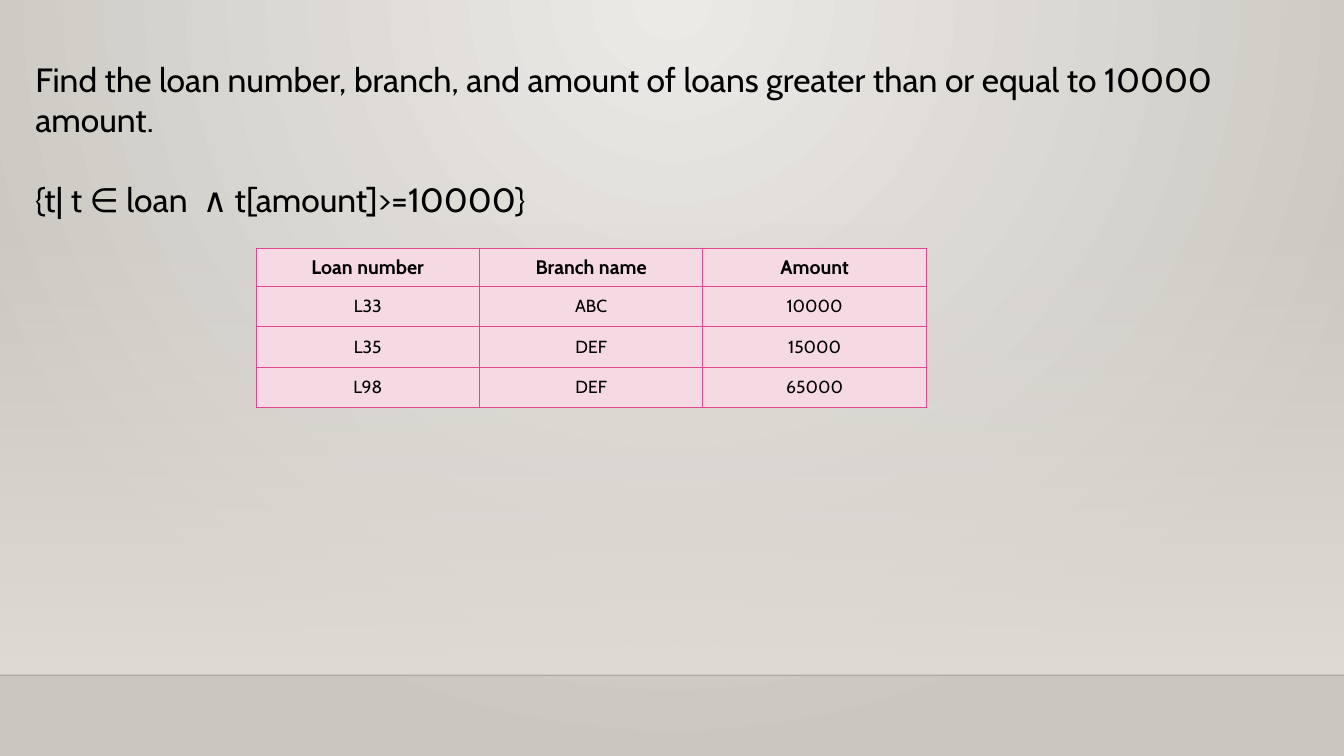
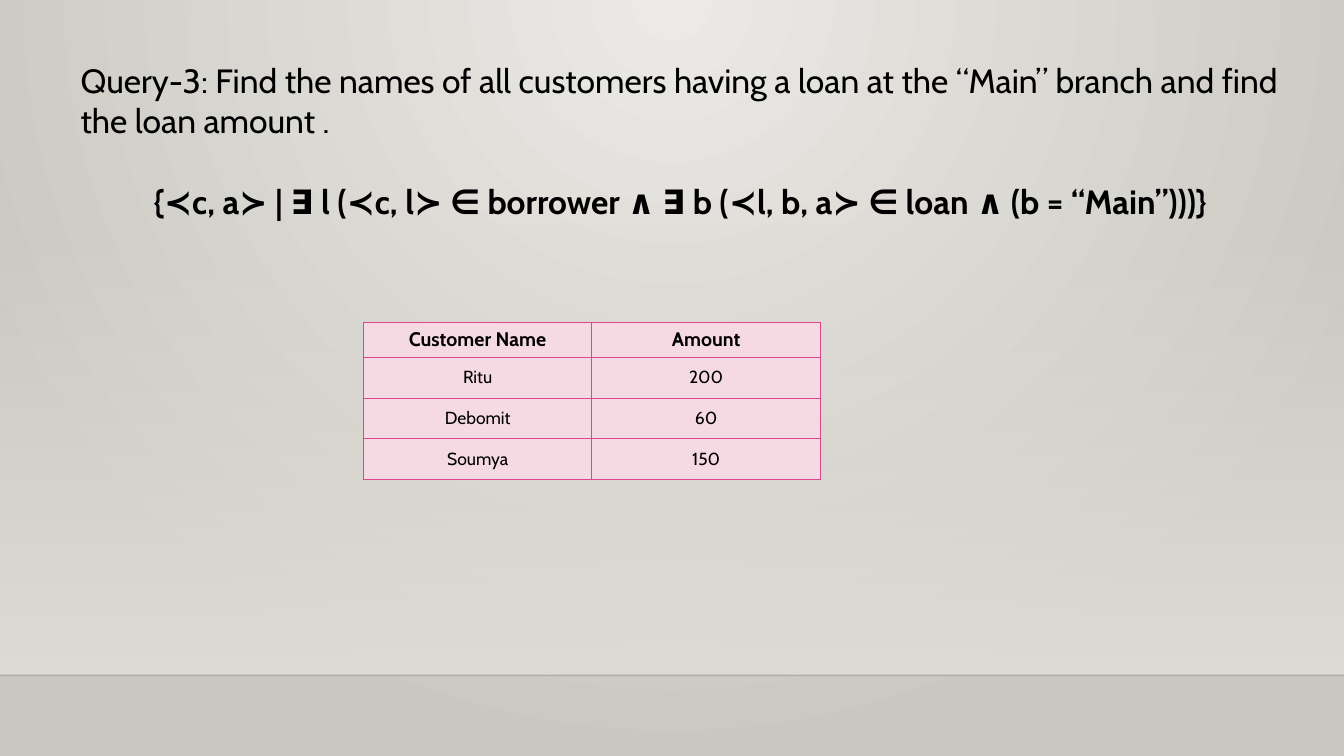
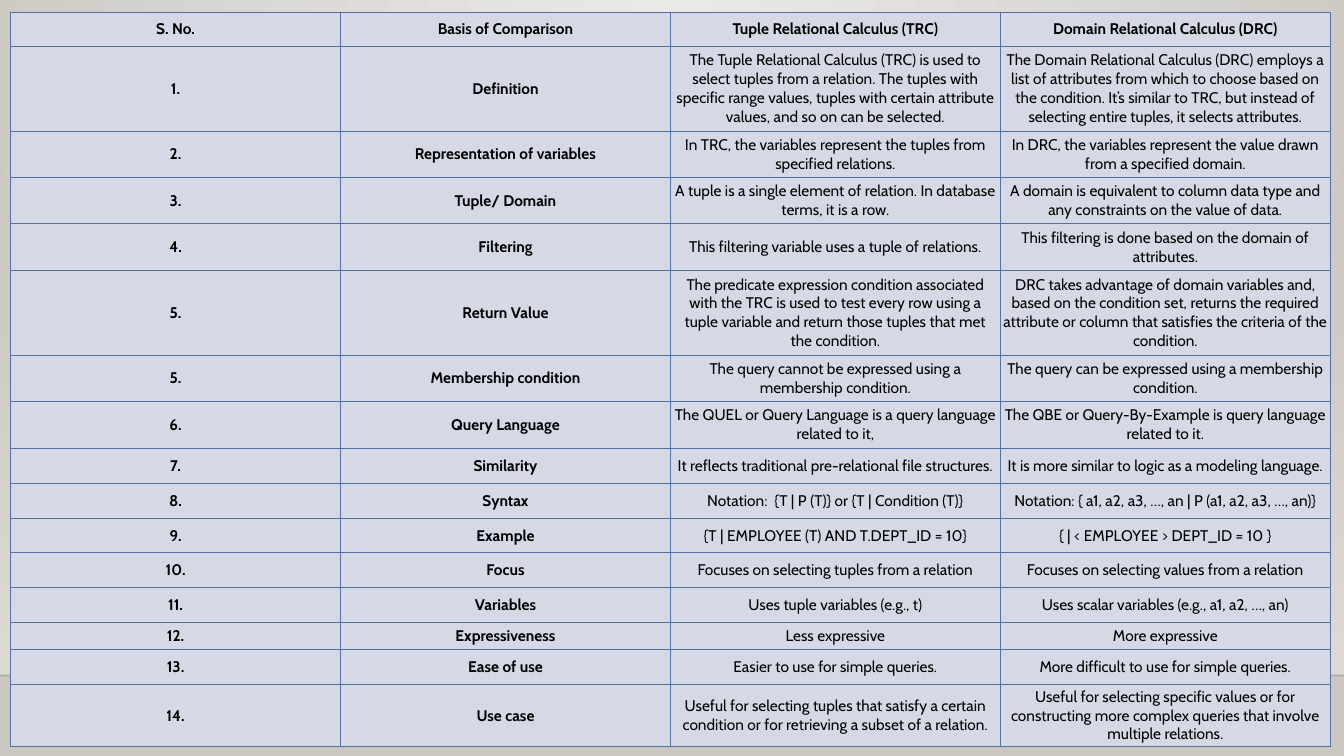
from dataclasses import dataclass

from lxml.etree import SubElement
from pptx import Presentation
from pptx.dml.color import RGBColor as RGB
from pptx.enum.shapes import MSO_CONNECTOR as CONN, MSO_SHAPE as SHAPE
from pptx.enum.text import MSO_ANCHOR as ANCHOR, MSO_AUTO_SIZE as FIT, PP_ALIGN as ALIGN
from pptx.oxml.ns import qn
from pptx.util import Pt


@dataclass(frozen=True)
class Theme:
    font: str = "Cabin"
    ink: str = "000000"
    rule: str = "000001"
    back_inner: str = "ECEAE7"
    back_outer: str = "CAC7C1"
    band: str = "DFDBD5"
    pink: tuple = ("F6DAE3", "DE478E")
    blue: tuple = ("D5D9E5", "586EA6")
    query: float = 24
    head: float = 14
    cell: float = 12.5
    compare: float = 11


T = Theme()
W, H = 960, 540
FLOOR = 482.4


def write(tf, text, size, bold=False, align=ALIGN.LEFT):
    p = tf.paragraphs[0]
    p.alignment = align
    r = p.add_run()
    r.text = text
    r.font.name = T.font
    r.font.size = Pt(size)
    r.font.bold = bold
    r.font.color.rgb = RGB.from_string(T.ink)


def add_grid(s, left, top, col, heights, rows, colors, sizes, insets, bold_cols=0):
    fill, edge = colors
    n = len(rows[0])
    frame = s.shapes.add_table(len(rows), n, Pt(left), Pt(top), Pt(col * n), Pt(sum(heights)))
    table = frame.table
    table.horz_banding = False
    for column in table.columns:
        column.width = Pt(col)
    for i, row in enumerate(rows):
        table.rows[i].height = Pt(heights[i])
        part = min(i, 1)
        side, end = insets[part]
        for j, text in enumerate(row):
            cell = table.cell(i, j)
            cell.vertical_anchor = ANCHOR.MIDDLE
            cell.margin_left = cell.margin_right = Pt(side)
            cell.margin_top = cell.margin_bottom = Pt(end)
            tcPr = cell._tc.get_or_add_tcPr()
            for tag in ("a:lnL", "a:lnR", "a:lnT", "a:lnB"):
                ln = SubElement(tcPr, qn(tag), w=str(Pt(0.75)))
                solid = SubElement(ln, qn("a:solidFill"))
                SubElement(solid, qn("a:srgbClr"), val=edge)
            cell.fill.solid()
            cell.fill.fore_color.rgb = RGB.from_string(fill)
            write(cell.text_frame, text, sizes[part], i == 0 or j < bold_cols, ALIGN.CENTER)


prs = Presentation()
prs.slide_width, prs.slide_height = Pt(W), Pt(H)
master = prs.slide_master
title_only, blank = prs.slide_layouts[5], prs.slide_layouts[6]

back = master.background.fill
back.gradient()
for stop, color in zip(back.gradient_stops, (T.back_inner, T.back_outer)):
    stop.color.rgb = RGB.from_string(color)
grad = master.element.find(".//" + qn("a:gradFill"))
grad.remove(grad.find(qn("a:lin")))
circle = SubElement(grad, qn("a:path"), path="circle")
SubElement(circle, qn("a:fillToRect"), l="43000", t="0", r="43000", b="100000")

QUERIES = [
    dict(
        box=(18, 38.2, 923.8),
        question="Find the loan number, branch, and amount of loans greater than or equal to 10000 amount.",
        formula="{t| t ∈ loan  ∧ t[amount]>=10000}",
        bold=False,
        align=ALIGN.LEFT,
        grid=(182.9, 177.4, 159.6),
        heights=[27, 29, 29, 29],
        rows=[
            ("Loan number", "Branch name", "Amount"),
            ("L33", "ABC", "10000"),
            ("L35", "DEF", "15000"),
            ("L98", "DEF", "65000"),
        ],
    ),
    dict(
        box=(50.4, 39, 871.2),
        question="Query-3: Find the names of all customers having a loan at the “Main” branch and find the loan amount .",
        formula="{≺c, a≻ | ∃ l (≺c, l≻ ∈ borrower ∧ ∃ b (≺l, b, a≻ ∈ loan ∧ (b = “Main”)))}",
        bold=True,
        align=ALIGN.CENTER,
        grid=(259.6, 230.2, 163.2),
        heights=[25, 29, 29, 29],
        rows=[
            ("Customer Name", "Amount"),
            ("Ritu", "200"),
            ("Debomit", "60"),
            ("Soumya", "150"),
        ],
    ),
]

for query in QUERIES:
    s = prs.slides.add_slide(title_only)
    left, top, width = query["box"]
    title = s.shapes.title
    title.left, title.top, title.width, title.height = Pt(left), Pt(top), Pt(width), Pt(65)
    formula = s.shapes.add_textbox(Pt(left), Pt(top + 86.4), Pt(width), Pt(36))
    for sp in (title, formula):
        tf = sp.text_frame
        tf.word_wrap = True
        tf.auto_size = FIT.NONE
        tf.vertical_anchor = ANCHOR.TOP
    write(title.text_frame, query["question"], T.query)
    write(formula.text_frame, query["formula"], T.query, query["bold"], query["align"])
    add_grid(s, *query["grid"], query["heights"], query["rows"], T.pink,
             (T.head, T.cell), ((4.4, 4), (5, 6.8)))

COMPARISON = [
    ("S. No.", "Basis of Comparison", "Tuple Relational Calculus (TRC)", "Domain Relational Calculus (DRC)"),
    ("1.", "Definition",
     "The Tuple Relational Calculus (TRC) is used to select tuples from a relation. The tuples with specific range values, tuples with certain attribute values, and so on can be selected.",
     "The Domain Relational Calculus (DRC) employs a list of attributes from which to choose based on the condition. It’s similar to TRC, but instead of selecting entire tuples, it selects attributes."),
    ("2.", "Representation of variables",
     "In TRC, the variables represent the tuples from specified relations.",
     "In DRC, the variables represent the value drawn from a specified domain."),
    ("3.", "Tuple/ Domain",
     "A tuple is a single element of relation. In database terms, it is a row.",
     "A domain is equivalent to column data type and any constraints on the value of data."),
    ("4.", "Filtering",
     "This filtering variable uses a tuple of relations.",
     "This filtering is done based on the domain of attributes."),
    ("5.", "Return Value",
     "The predicate expression condition associated with the TRC is used to test every row using a tuple variable and return those tuples that met the condition.",
     "DRC takes advantage of domain variables and, based on the condition set, returns the required attribute or column that satisfies the criteria of the condition."),
    ("5.", "Membership condition",
     "The query cannot be expressed using a membership condition.",
     "The query can be expressed using a membership condition."),
    ("6.", "Query Language",
     "The QUEL or Query Language is a query language related to it,",
     "The QBE or Query-By-Example is query language related to it."),
    ("7.", "Similarity",
     "It reflects traditional pre-relational file structures.",
     "It is more similar to logic as a modeling language."),
    ("8.", "Syntax",
     "Notation:  {T | P (T)} or {T | Condition (T)}",
     "Notation: { a1, a2, a3, …, an | P (a1, a2, a3, …, an)}"),
    ("9.", "Example",
     "{T | EMPLOYEE (T) AND T.DEPT_ID = 10}",
     "{ | < EMPLOYEE > DEPT_ID = 10 }"),
    ("10.", "Focus",
     "Focuses on selecting tuples from a relation",
     "Focuses on selecting values from a relation"),
    ("11.", "Variables",
     "Uses tuple variables (e.g., t)",
     "Uses scalar variables (e.g., a1, a2, …, an)"),
    ("12.", "Expressiveness", "Less expressive", "More expressive"),
    ("13.", "Ease of use",
     "Easier to use for simple queries.",
     "More difficult to use for simple queries."),
    ("14.", "Use case",
     "Useful for selecting tuples that satisfy a certain condition or for retrieving a subset of a relation.",
     "Useful for selecting specific values or for constructing more complex queries that involve multiple relations."),
]
heights = [24.5, 60.5, *[33.2] * 3, 60.5, *[33.2] * 2, *[25] * 5, 19, 25, 44.5]

s = prs.slides.add_slide(blank)
add_grid(s, 7.6, 8.6, 235.7, heights, COMPARISON, T.blue,
         (T.compare, T.compare), ((1.2, 1.4), (1.4, 2)), bold_cols=2)

band = s.shapes.add_shape(SHAPE.RECTANGLE, 0, Pt(159), Pt(W), Pt(FLOOR - 159))
band.shadow.inherit = False
band.line.fill.background()
band.fill.gradient()
band.fill.gradient_angle = 270
for stop in band.fill.gradient_stops:
    stop.color.rgb = RGB.from_string(T.band)

rule = s.shapes.add_connector(CONN.STRAIGHT, 0, Pt(FLOOR), Pt(W), Pt(FLOOR))
rule.line.width = Pt(1)
rule.line.color.rgb = RGB.from_string(T.rule)
SubElement(rule.element.spPr, qn("a:effectLst"))

for i, (sp, alpha) in enumerate(((band, 0), (rule, 20000))):
    element = sp.element
    SubElement(element.find(".//" + qn("a:srgbClr")), qn("a:alpha"), val=str(alpha))
    element.find(".//" + qn("p:cNvPr")).set("id", str(101 + i))
    master.shapes.element.insert(2 + i, element)

prs.save("out.pptx")
